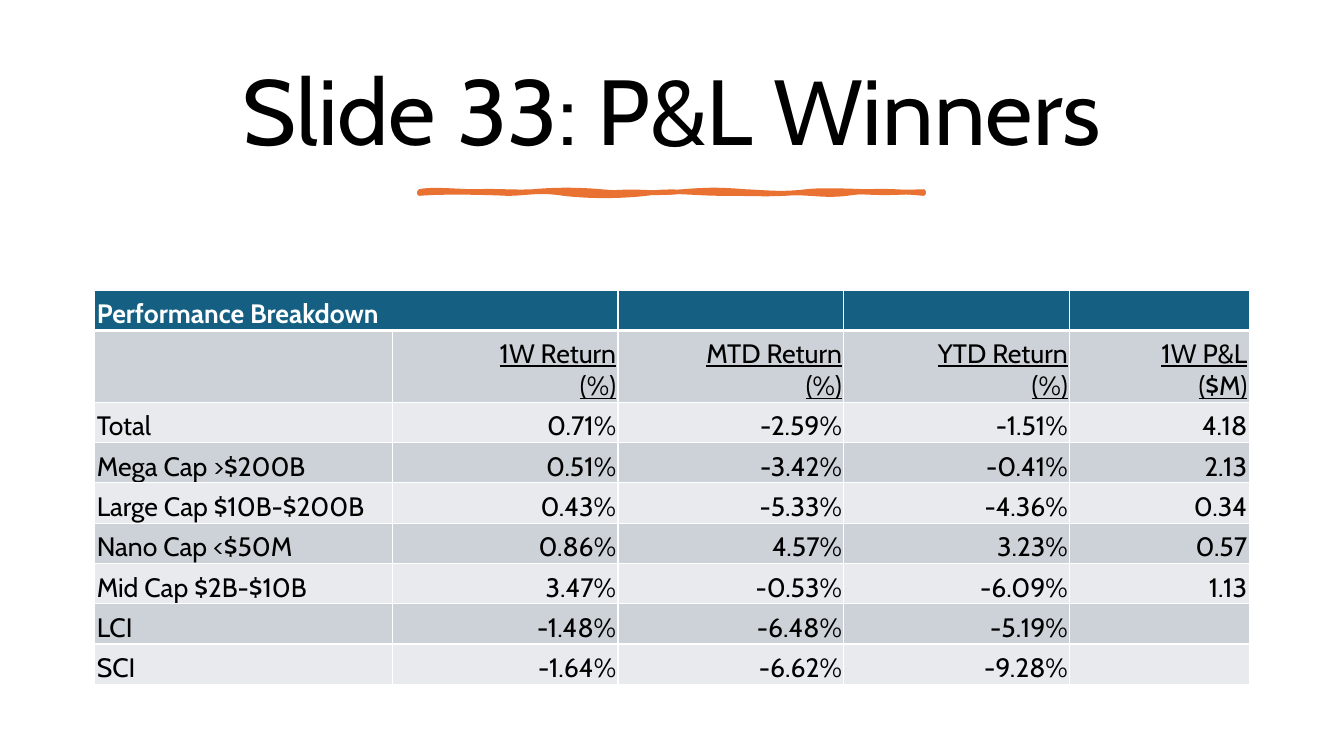
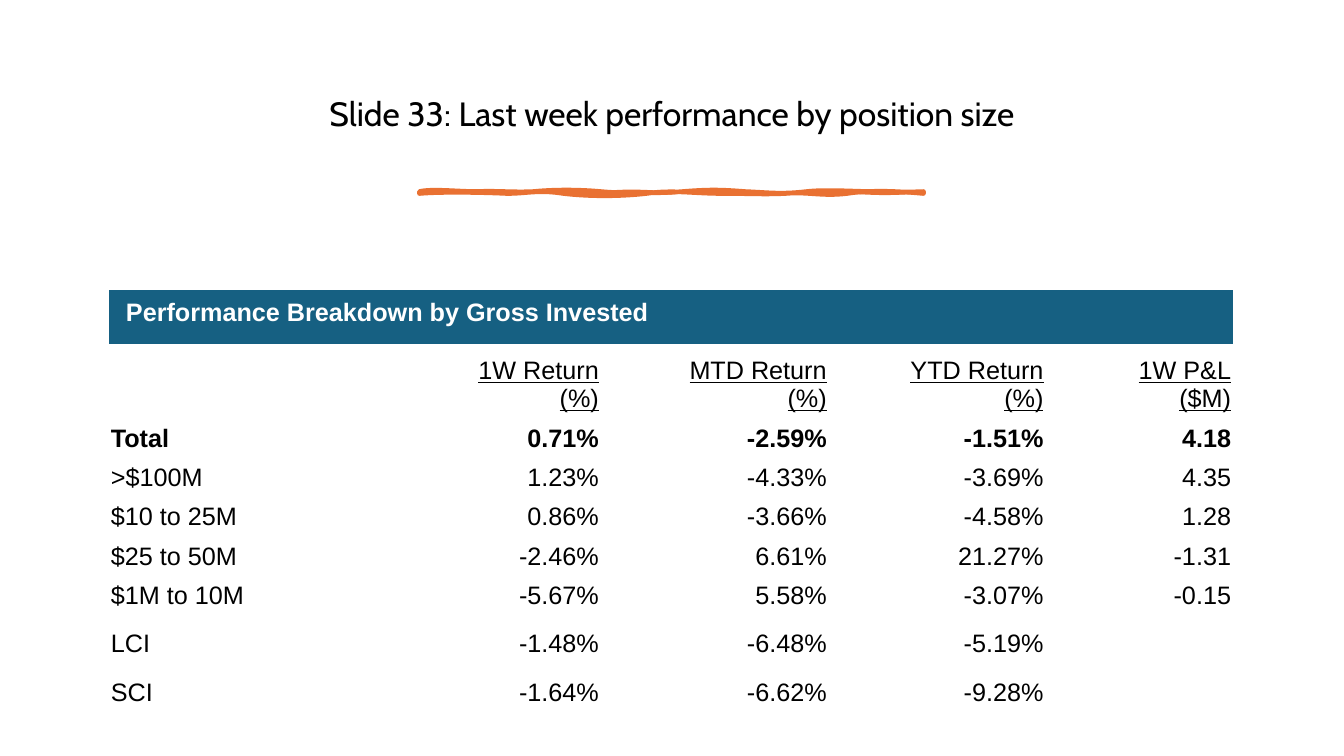
from lxml import etree
from pptx import Presentation
from pptx import util as u
from pptx.dml.color import RGBColor
from pptx.enum import text as t
from pptx.oxml import ns

Inches, Pt = u.Inches, u.Pt

# Shared colours
BLACK = RGBColor(0x00, 0x00, 0x00)
WHITE = RGBColor(0xFF, 0xFF, 0xFF)
ORANGE = RGBColor(0xE9, 0x71, 0x32)
BLUE = RGBColor(0x15, 0x60, 0x82)
TEAL = RGBColor(0x16, 0x60, 0x82)
GREY = RGBColor(0xCC, 0xD2, 0xD8)
PALE = RGBColor(0xE8, 0xEA, 0xED)

NO_STYLE = "{2D5ABB26-0587-4C30-8999-92F81FD0307C}"
TIGHT = (0.02, 0.02, 0.02, 0)

# Brush stroke: cubic curves in hundredths of an inch from its top left corner
STROKE_EDGE = [
    (12, -3, 38, 0, 57, 0), (76, -1, 93, 1, 113, 0), (133, -2, 158, -2, 180, 0),
    (201, 2, 237, 2, 261, 0), (286, -2, 298, -2, 323, 0), (347, 1, 358, 3, 384, 0),
    (410, -3, 451, 2, 500, 0), (501, 1, 500, 1, 500, 2), (479, 0, 449, -2, 424, 2),
    (399, 5, 385, 0, 363, 2), (340, 3, 331, 2, 301, 2), (271, 2, 251, -2, 225, 2),
    (198, 5, 169, 5, 143, 2), (118, -2, 107, 2, 87, 2), (67, 1, 22, 0, 0, 2),
    (0, 1, 0, 0, 0, 0),
]
STROKE_BODY = [
    (16, -1, 36, -2, 62, 0), (87, 1, 92, 2, 118, 0), (144, -2, 158, 2, 180, 0),
    (202, -3, 223, -2, 251, 0), (279, 1, 308, -3, 328, 0), (347, 2, 386, -2, 409, 0),
    (432, 1, 456, 3, 500, 0), (500, 0, 500, 1, 500, 2), (463, 4, 460, 4, 424, 2),
    (388, -1, 380, 1, 343, 2), (305, 2, 300, -2, 261, 2), (223, 6, 221, 0, 205, 2),
    (188, 3, 156, 3, 128, 2), (101, 0, 88, 1, 62, 2), (36, 2, 25, -1, 0, 2),
    (0, 1, 0, 0, 0, 0),
]

# Table contents
COLUMN_HEADS = ["", "1W Return\n(%)", "MTD Return\n(%)", "YTD Return\n(%)", "1W P&L\n($M)"]
TOTAL = ["Total", "0.71%", "-2.59%", "-1.51%", "4.18"]
BENCHMARKS = [
    ["LCI", "-1.48%", "-6.48%", "-5.19%", ""],
    ["SCI", "-1.64%", "-6.62%", "-9.28%", ""],
]
BY_MARKET_CAP = [
    ["Mega Cap >$200B", "0.51%", "-3.42%", "-0.41%", "2.13"],
    ["Large Cap $10B-$200B", "0.43%", "-5.33%", "-4.36%", "0.34"],
    ["Nano Cap <$50M", "0.86%", "4.57%", "3.23%", "0.57"],
    ["Mid Cap $2B-$10B", "3.47%", "-0.53%", "-6.09%", "1.13"],
]
BY_POSITION_SIZE = [
    [">$100M", "1.23%", "-4.33%", "-3.69%", "4.35"],
    ["$10 to 25M", "0.86%", "-3.66%", "-4.58%", "1.28"],
    ["$25 to 50M", "-2.46%", "6.61%", "21.27%", "-1.31"],
    ["$1M to 10M", "-5.67%", "5.58%", "-3.07%", "-0.15"],
]


def write_text(tf, text, size, font="Cabin", color=BLACK, bold=False,
               underline=False, align=t.PP_ALIGN.LEFT, spacing=None):
    p = tf.paragraphs[0]
    p.text = text
    p.alignment = align
    if spacing:
        p.line_spacing = spacing
    for r in p.runs:
        f = r.font
        f.name, f.size, f.bold, f.underline = font, Pt(size), bold, underline
        f.color.rgb = color


def add_title(s, text, size):
    title = s.shapes.title
    title.left, title.top = Inches(0.7), Inches(0.46)
    title.width, title.height = Inches(11.93), Inches(1.37)
    tf = title.text_frame
    tf.auto_size = t.MSO_AUTO_SIZE.NONE
    tf.vertical_anchor = t.MSO_ANCHOR.MIDDLE
    write_text(tf, text, size, align=t.PP_ALIGN.CENTER, spacing=0.9)


def add_curves(path_list, curves, **flags):
    """Append one closed path of cubic curves that starts at the origin."""
    def child(parent, tag, **attrs):
        return etree.SubElement(parent, ns.qn(tag), **attrs)

    path = child(path_list, "a:path", w="500", h="2", **flags)
    child(child(path, "a:moveTo"), "a:pt", x="0", y="0")
    for curve in curves:
        bezier = child(path, "a:cubicBezTo")
        for x, y in zip(curve[::2], curve[1::2]):
            child(bezier, "a:pt", x=str(x), y=str(y))
    child(path, "a:close")


def add_brush_stroke(s):
    builder = s.shapes.build_freeform(0, 0, scale=Inches(0.01))
    builder.add_line_segments([(500, 0), (500, 2), (0, 2)])
    sp = builder.convert_to_shape(Inches(4.16), Inches(1.9))
    sp.shadow.inherit = False
    sp.fill.solid()
    sp.fill.fore_color.rgb = ORANGE
    sp.line.color.rgb = ORANGE
    sp.line.width = Pt(3.25)
    # Bend the straight outline into the hand-drawn one
    path_list = sp.element.xpath(".//a:pathLst")[0]
    path_list.remove(path_list[0])
    add_curves(path_list, STROKE_EDGE, fill="none")
    add_curves(path_list, STROKE_BODY, stroke="0")


def set_borders(cell, color, **widths):
    tc_pr = cell._tc.get_or_add_tcPr()
    for side in "LRTB":
        ln = etree.SubElement(tc_pr, ns.qn("a:ln" + side), w=str(Pt(widths.get(side, 1))))
        fill = etree.SubElement(ln, ns.qn("a:solidFill"))
        etree.SubElement(fill, ns.qn("a:srgbClr"), val=str(color))


def format_cell(cell, fill=None, insets=TIGHT, anchor=t.MSO_ANCHOR.BOTTOM):
    left, top, right, bottom = map(Inches, insets)
    cell.margin_left, cell.margin_top = left, top
    cell.margin_right, cell.margin_bottom = right, bottom
    cell.vertical_anchor = anchor
    if fill is None:
        cell.fill.background()
    else:
        cell.fill.solid()
        cell.fill.fore_color.rgb = fill


def add_performance_table(s, left, cols, heights, heading, rows, span, size, font,
                          head_fill, bands=(None, None), bordered=False,
                          bold_total=False, head_format=None):
    rows = [[heading] + [""] * 4, COLUMN_HEADS, TOTAL] + rows + BENCHMARKS
    frame = s.shapes.add_table(len(rows), len(cols), Inches(left), Inches(2.88),
                               Inches(sum(cols)), Inches(sum(heights)))
    table = frame.table
    table.first_row = table.horz_banding = False
    frame.element.xpath(".//a:tableStyleId")[0].text = NO_STYLE
    for column, width in zip(table.columns, cols):
        column.width = Inches(width)
    for row, height in zip(table.rows, heights):
        row.height = Inches(height)

    for i, values in enumerate(rows):
        for j, value in enumerate(values):
            cell = table.cell(i, j)
            if bordered:
                set_borders(cell, WHITE, T=3 if i == 1 else 1, B=3 if i == 0 else 1)
            if i == 0:
                format_cell(cell, head_fill, **(head_format or {}))
            else:
                format_cell(cell, bands[(i - 1) % 2])
            if value:
                write_text(cell.text_frame, value, size, font,
                           color=WHITE if i == 0 else BLACK,
                           bold=i == 0 or (bold_total and i == 2),
                           underline=i == 1,
                           align=t.PP_ALIGN.RIGHT if j else t.PP_ALIGN.LEFT)
    table.cell(0, 0).merge(table.cell(0, span - 1))


def add_slide(prs, title, size):
    s = prs.slides.add_slide(prs.slide_layouts[5])
    add_title(s, title, size)
    add_brush_stroke(s)
    return s


def main():
    prs = Presentation()
    prs.slide_width, prs.slide_height = Inches(13.33), Inches(7.5)

    # Returns by market capitalisation
    s = add_slide(prs, "Slide 33: P&L Winners", 66)
    add_performance_table(
        s, 0.94, [2.95, 2.24, 2.24, 2.24, 1.78], [0.4, 0.71] + [0.4] * 7,
        "Performance Breakdown", BY_MARKET_CAP, span=2, size=19, font="Cabin",
        head_fill=BLUE, bands=(GREY, PALE), bordered=True)

    # Returns by position size
    s = add_slide(prs, "Slide 33: Last week performance by position size", 24)
    add_performance_table(
        s, 1.08, [2.62, 2.26, 2.26, 2.15, 1.86], [0.53, 0.69] + [0.39] * 5 + [0.48] * 2,
        "Performance Breakdown by Gross Invested", BY_POSITION_SIZE, span=3, size=18,
        font="Arial", head_fill=TEAL, bold_total=True,
        head_format={"insets": (0.17, 0.08, 0.17, 0.08), "anchor": t.MSO_ANCHOR.TOP})

    prs.save("out.pptx")


if __name__ == "__main__":
    main()
